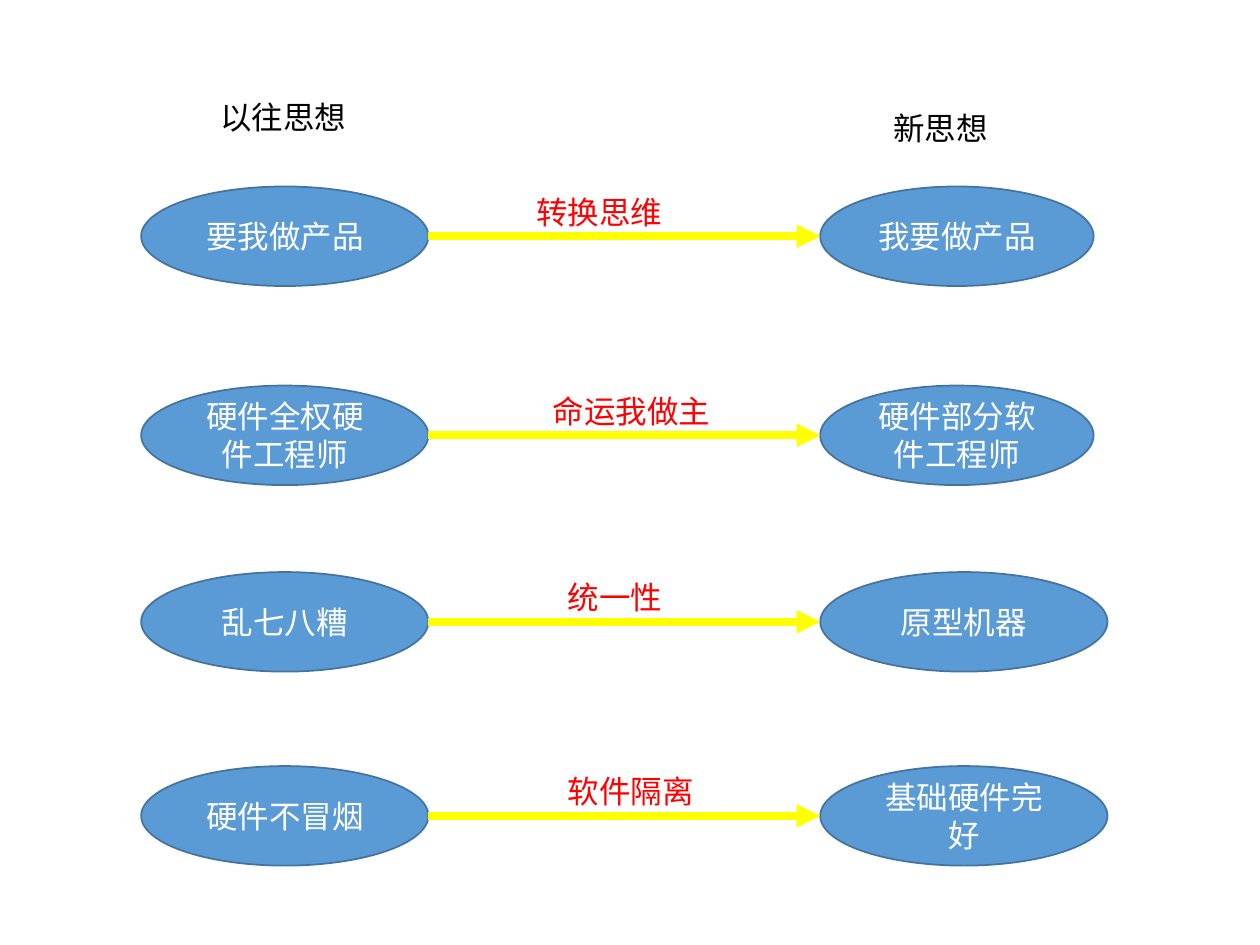
from lxml import etree
from pptx import Presentation
from pptx.dml.color import RGBColor
from pptx.enum.shapes import MSO_CONNECTOR as Link, MSO_SHAPE as Shape
from pptx.enum.text import MSO_ANCHOR as Anchor, MSO_AUTO_SIZE as Fit, PP_ALIGN as Align
from pptx.oxml.ns import qn
from pptx.util import Inches, Pt

LEFT, RIGHT, WIDE, HIGH = 1.12, 6.51, 2.28, 0.79
HEADS = [("以往思想", 1.65, 0.73), ("新思想", 6.99, 0.82)]
ROWS = [
    (1.48, "要我做产品", "我要做产品", 2.17, "转换思维", 4.16, 1.94),
    (3.06, "硬件全权硬件工程师", "硬件部分软件工程师", 2.17, "命运我做主", 4.29, 1.94),
    (4.54, "乱七八糟", "原型机器", WIDE, "统一性", 4.41, 1.27),
    (6.08, "硬件不冒烟", "基础硬件完好", WIDE, "软件隔离", 4.41, 1.27),
]


def color(code):
    """Turn a hex string into a colour."""
    return RGBColor.from_string(code)


def write(frame, text, font="Arial", ink="000000", align=Align.LEFT, anchor=Anchor.TOP):
    """Put one formatted paragraph into a text frame."""
    frame.word_wrap = True
    frame.vertical_anchor = anchor
    para = frame.paragraphs[0]
    para.alignment = align
    run = para.add_run()
    run.text = text
    run.font.name = font
    run.font.size = Pt(18)
    run.font.color.rgb = color(ink)


def label(slide, text, x, y, wide, ink="000000"):
    """Add a text box that grows with its text."""
    box = slide.shapes.add_textbox(Inches(x), Inches(y), Inches(wide), Inches(0.4))
    write(box.text_frame, text, ink=ink)
    box.text_frame.auto_size = Fit.SHAPE_TO_FIT_TEXT


def oval(slide, text, x, y, wide):
    """Add a blue ellipse holding one idea."""
    node = slide.shapes.add_shape(
        Shape.OVAL, Inches(x), Inches(y), Inches(wide), Inches(HIGH))
    node.shadow.inherit = False
    node.fill.solid()
    node.fill.fore_color.rgb = color("5B9BD5")
    node.line.color.rgb = color("43739E")
    node.line.width = Pt(1)
    write(node.text_frame, text, font="Calibri", ink="FFFFFF",
          align=Align.CENTER, anchor=Anchor.MIDDLE)


def arrow(slide, start, end, y):
    """Add a level yellow arrow."""
    link = slide.shapes.add_connector(
        Link.STRAIGHT, Inches(start), Inches(y), Inches(end), Inches(y))
    link.line.color.rgb = color("FFFF00")
    link.line.width = Pt(4.5)
    etree.SubElement(link.line._get_or_add_ln(), qn("a:tailEnd"), type="triangle")
    etree.SubElement(link._element.spPr, qn("a:effectLst"))


def shift(slide, y, old, new, wide, theme, x, span):
    """Add one row that leads from an old idea to a new one."""
    oval(slide, old, LEFT, y, WIDE)
    oval(slide, new, RIGHT, y, wide)
    arrow(slide, LEFT + WIDE, RIGHT, y + HIGH / 2)
    label(slide, theme, x, y, span, ink="FF0000")


def main():
    """Build and save the slide."""
    deck = Presentation()
    deck.slide_width, deck.slide_height = Inches(10), Inches(7.5)
    slide = deck.slides.add_slide(deck.slide_layouts[6])
    for text, x, y in HEADS:
        label(slide, text, x, y, 1.47)
    for row in ROWS:
        shift(slide, *row)
    deck.save("out.pptx")


if __name__ == "__main__":
    main()
